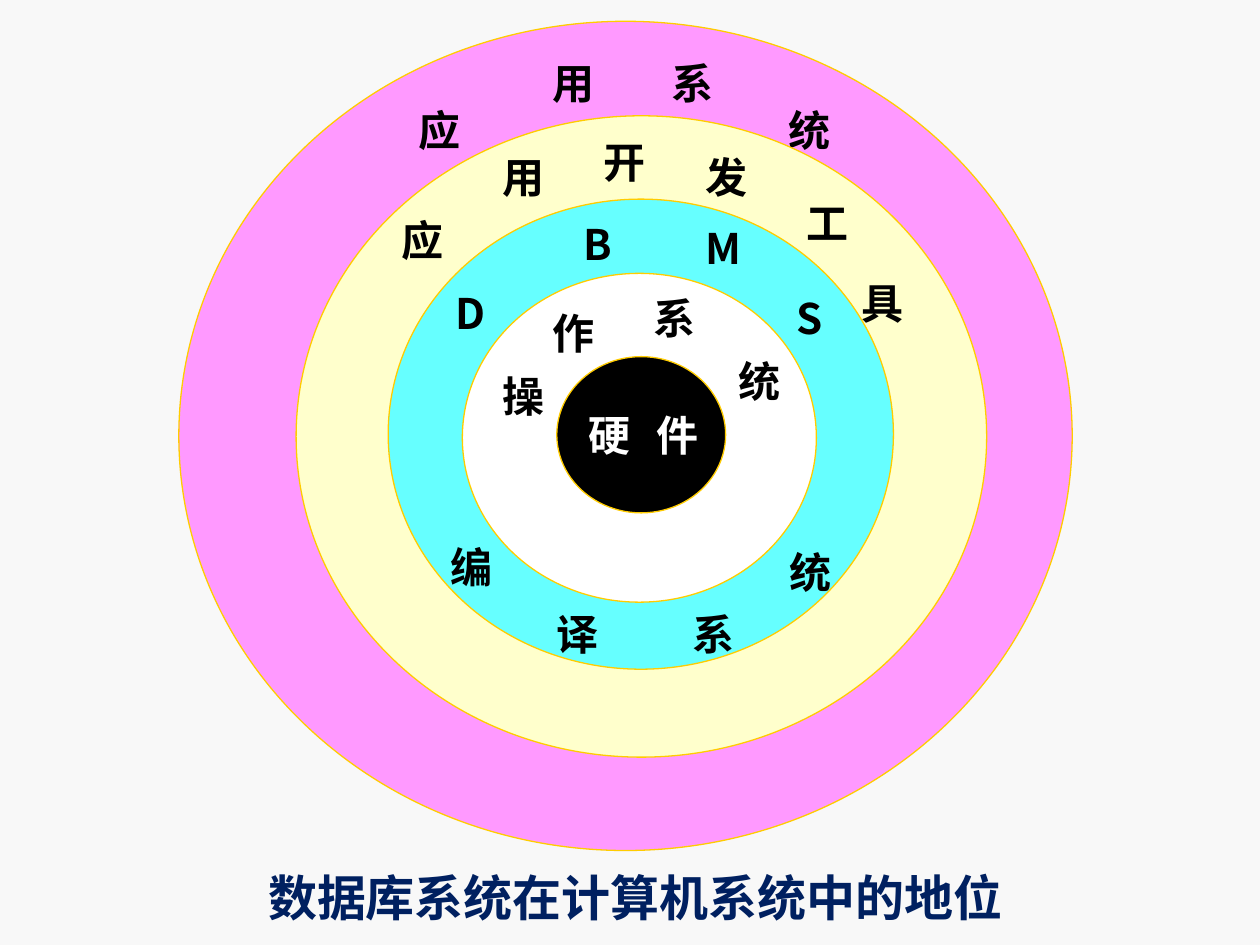
from lxml import etree
from pptx import Presentation
from pptx import util as u
from pptx.dml.color import RGBColor
from pptx.enum import shapes, text
from pptx.oxml.ns import qn

FONT = "Noto Sans CJK SC"
COLORS = {
    "background": "F8F8F8", "outline": "FFCC00", "title": "002060",
    "pink": "FF99FF", "cream": "FFFFCC", "cyan": "66FFFF",
    "white": "FFFFFF", "black": "000000",
}
TITLE = "数据库系统在计算机系统中的地位"
TITLE_BOX = (113.8, 491.8, 498.2, 41)
LABEL_SIZE = (48, 28.8)

# Rings from outside in: fill, text colour, (left, top, width, height),
# then each label with the centres of its characters
RINGS = [
    ("pink", "black", (102.2, 12.2, 510.5, 473.8), [
        ("应用系统", [(250.9, 74.2), (328, 47.5), (395.6, 47.5), (462.6, 74.2)]),
    ]),
    ("cream", "black", (169.2, 66.2, 394.6, 366.5), [
        ("应用开发工具", [(241.6, 136.8), (299.2, 100.8), (356.8, 92.2),
                    (415.1, 100.8), (472.7, 127.4), (504.2, 172.8)]),
    ]),
    ("cyan", "black", (221.8, 113.8, 288.7, 268.6), [
        ("DBMS", [(268.9, 178.6), (341.6, 139), (413.6, 141.8), (462.6, 181.4)]),
        ("编译系统", [(269.6, 324), (330.1, 362.2), (407.9, 362.2), (463.3, 326.9)]),
    ]),
    ("white", "black", (264.2, 156.2, 202.3, 187.9), [
        ("操作系统", [(299.2, 226.1), (328, 190.1), (385.6, 181.4), (433.8, 217.4)]),
    ]),
    ("black", "white", (318.2, 203.8, 96.5, 89.3), [
        ("硬件", [(348.1, 248.4), (387, 248.4)]),
    ]),
]


def color(name):
    return RGBColor.from_string(COLORS[name])


def points(values):
    return [u.Pt(value) for value in values]


def add_text(page, words, place, size, color_name):
    box = page.shapes.add_textbox(*points(place))
    frame = box.text_frame
    frame.word_wrap = True
    frame.vertical_anchor = text.MSO_ANCHOR.MIDDLE
    frame.margin_left = frame.margin_right = 0
    frame.margin_top = frame.margin_bottom = 0
    para = frame.paragraphs[0]
    para.alignment = text.PP_ALIGN.CENTER
    span = para.add_run()
    span.text = words
    font = span.font
    font.name, font.size, font.bold = FONT, u.Pt(size), True
    font.color.rgb = color(color_name)
    # East Asian characters take their own typeface
    etree.SubElement(span._r.get_or_add_rPr(), qn("a:ea"), typeface=FONT)


def add_ring(page, place, fill_name):
    ring = page.shapes.add_shape(shapes.MSO_SHAPE.OVAL, *points(place))
    ring.shadow.inherit = False
    ring.fill.solid()
    ring.fill.fore_color.rgb = color(fill_name)
    ring.line.color.rgb = color("outline")
    ring.line.width = u.Pt(0.75)


deck = Presentation()
deck.slide_width, deck.slide_height = u.Pt(720), u.Pt(540)
page = deck.slides.add_slide(deck.slide_layouts[6])
page.background.fill.solid()
page.background.fill.fore_color.rgb = color("background")

# Title below the rings
add_text(page, TITLE, TITLE_BOX, 28, "title")

# Rings with their characters
width, height = LABEL_SIZE
for fill_name, text_color, place, labels in RINGS:
    add_ring(page, place, fill_name)
    for label, centres in labels:
        for character, (x, y) in zip(label, centres):
            spot = (x - width / 2, y - height / 2, width, height)
            add_text(page, character, spot, 24, text_color)

deck.save("out.pptx")
